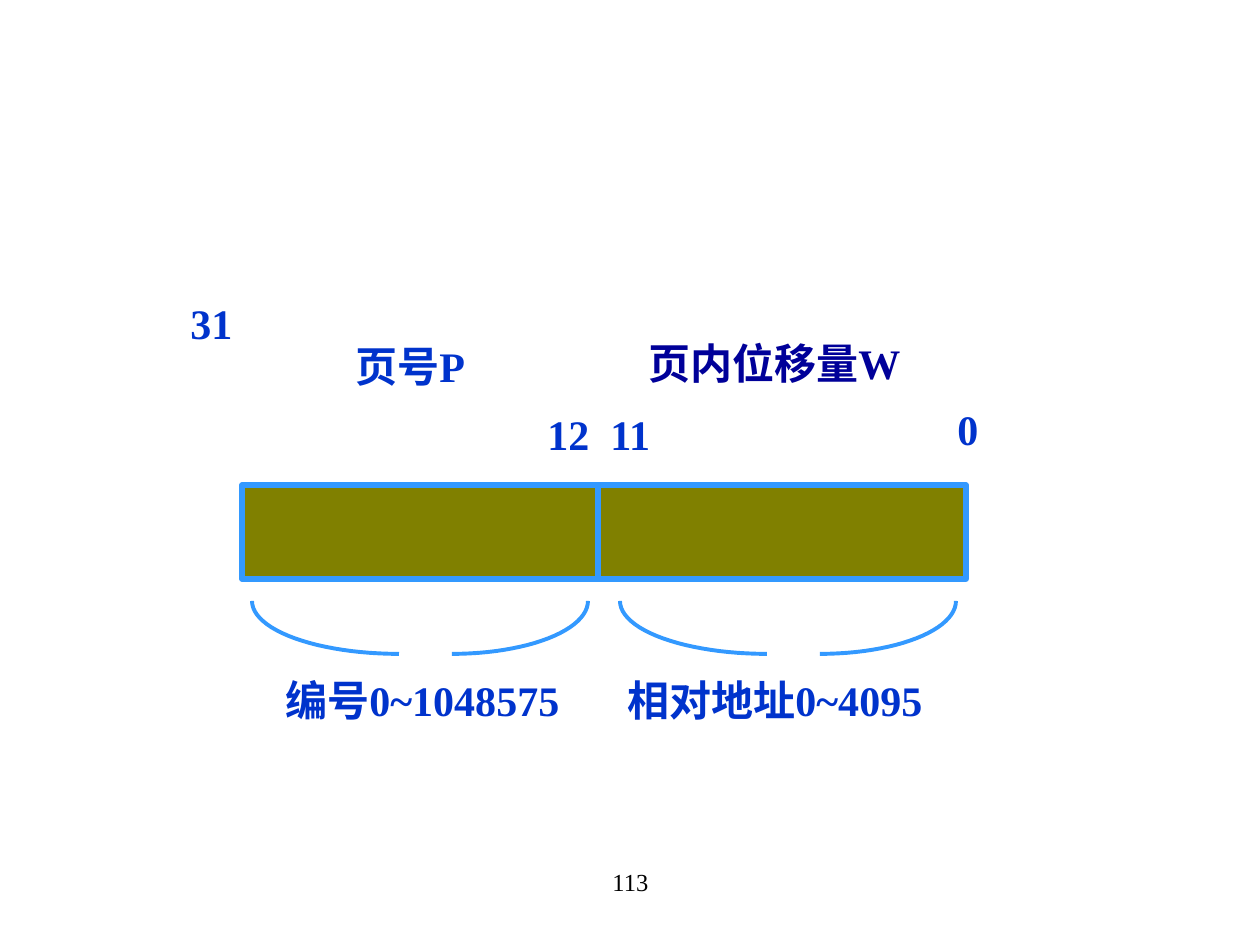
from math import cos, pi, sin

from lxml.etree import SubElement
from pptx import Presentation
from pptx.dml.color import RGBColor
from pptx.enum.shapes import MSO_CONNECTOR as CONN, MSO_SHAPE as SHAPE
from pptx.enum.text import MSO_AUTO_SIZE as FIT, PP_ALIGN as ALIGN
from pptx.oxml.ns import qn
from pptx.util import Pt

EMU_PER_PX = 914400 / 126
ARC_STEPS = 24


def px(n):
    return round(n * EMU_PER_PX)


def rgb(hex_color):
    return RGBColor.from_string(hex_color)


class Diagram:
    """Holds the current slide and the style of its elements."""
    font = "Times New Roman"
    label_color = "0033CC"
    line_color = "3399FF"
    field_color = "808000"

    def __init__(self, slide):
        self.shapes = slide.shapes

    def outline(self, shape, width):
        shape.line.color.rgb = rgb(self.line_color)
        shape.line.width = Pt(width)

    def text(self, text, x, y, w, h=63, color=label_color, size=24, bold=True):
        box = self.shapes.add_textbox(px(x), px(y), px(w), px(h))
        tf = box.text_frame
        tf.word_wrap = False
        tf.auto_size = FIT.SHAPE_TO_FIT_TEXT
        p = tf.paragraphs[0]
        p.text = text
        p.font.name = self.font
        p.font.size = Pt(size)
        p.font.bold = bold
        p.font.color.rgb = rgb(color)
        return box

    def page_number(self, text, x, y, w, h):
        tf = self.text(text, x, y, w, h, "000000", 14, False).text_frame
        tf.word_wrap = True
        tf.auto_size = FIT.NONE
        tf.paragraphs[0].alignment = ALIGN.CENTER

    def bar(self, x, y, w, h):
        s = self.shapes.add_shape(SHAPE.RECTANGLE, px(x), px(y), px(w), px(h))
        s.shadow.inherit = False
        s.fill.solid()
        s.fill.fore_color.rgb = rgb(self.field_color)
        self.outline(s, 3)

    def line(self, x1, y1, x2, y2):
        c = self.shapes.add_connector(CONN.STRAIGHT, px(x1), px(y1), px(x2), px(y2))
        self.outline(c, 3)
        SubElement(c._element.spPr, qn("a:effectLst"))

    def arc(self, inner_x, outer_x, y, h):
        """Quarter ellipse from its lowest point up to its outer end."""
        angles = [i * pi / 2 / ARC_STEPS for i in range(ARC_STEPS + 1)]
        points = [(px(inner_x + (outer_x - inner_x) * sin(a)), px(y + h * cos(a)))
                  for a in angles]
        builder = self.shapes.build_freeform(*points[0])
        builder.add_line_segments(points[1:], close=False)
        s = builder.convert_to_shape()
        s.shadow.inherit = False
        s.fill.background()
        self.outline(s, 2.25)

    def brace(self, x, y=601, h=53):
        self.arc(x + 147, x, y, h)
        self.arc(x + 200, x + 336, y, h)


def main():
    prs = Presentation()
    prs.slide_width, prs.slide_height = px(1260), px(945)
    d = Diagram(prs.slides.add_slide(prs.slide_layouts[6]))

    d.page_number("113", 431, 861, 399, 63)
    d.bar(242, 485, 724, 94)
    d.line(598, 486, 598, 581)

    for bit, x, y in [("31", 178, 291), ("12", 535, 402), ("11", 598, 402), ("0", 945, 397)]:
        d.text(bit, x, y, 45 if len(bit) == 1 else 67)

    d.text("页号P", 343, 334, 145)
    d.text("页内位移量W", 636, 331, 287, color="000099")
    d.text("编号0~1048575", 273, 668, 309, 113)
    d.text("相对地址0~4095", 615, 668, 330)

    for x in (252, 620):
        d.brace(x)

    prs.save("out.pptx")


if __name__ == "__main__":
    main()
